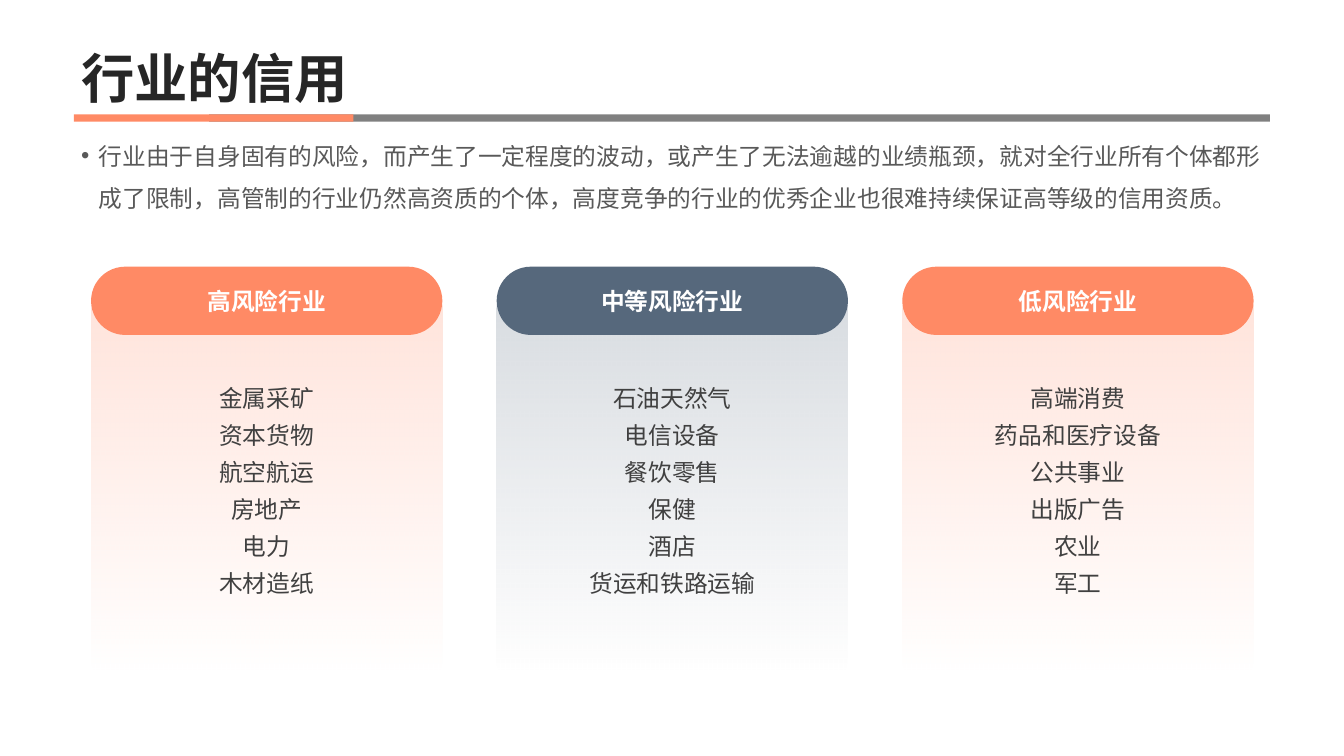
from lxml.etree import SubElement
from pptx import Presentation
from pptx.dml.color import RGBColor
from pptx.enum.shapes import MSO_SHAPE as Shape
from pptx.enum.text import MSO_ANCHOR as Anchor, MSO_AUTO_SIZE as AutoSize, PP_ALIGN as Align
from pptx.oxml.ns import qn
from pptx.util import Pt

TITLE = "行业的信用"
BODY = ("行业由于自身固有的风险，而产生了一定程度的波动，或产生了无法逾越的业绩瓶颈，"
        "就对全行业所有个体都形成了限制，高管制的行业仍然高资质的个体，"
        "高度竞争的行业的优秀企业也很难持续保证高等级的信用资质。")
CARDS = [
    ("高风险行业", "coral",
     ["金属采矿", "资本货物", "航空航运", "房地产", "电力", "木材造纸"]),
    ("中等风险行业", "slate",
     ["石油天然气", "电信设备", "餐饮零售", "保健", "酒店", "货运和铁路运输"]),
    ("低风险行业", "coral",
     ["高端消费", "药品和医疗设备", "公共事业", "出版广告", "农业", "军工"]),
]
COLORS = {"coral": "FF8A65", "slate": "56687C", "rule": "808080", "title": "262626",
          "body": "595959", "item": "404040", "white": "FFFFFF"}
FONT = "Arial"

PAGE_W, PAGE_H = 1360.8, 765.36
MARGIN, CONTENT_W = 74.9, 1211
TITLE_H, BODY_TOP, BODY_H = 114.5, 125.3, 616.3
RULE_TOP, RULE_H, ACCENT_W = 115.9, 7.2, 283
RULE_LEFT = 211.7
CARD_LEFT, CARD_W, CARD_PITCH = 92.2, 355.7, 410.7
HEADER_TOP, HEADER_H = 270, 69.1
PANEL_TOP, PANEL_H = 303.8, 377.3


def rgb(name):
    return RGBColor.from_string(COLORS[name])


def place(shape, left, top, width, height):
    shape.left, shape.top, shape.width, shape.height = map(Pt, (left, top, width, height))


def add_plain_shape(page, kind, left, top, width, height):
    shape = page.shapes.add_shape(kind, *map(Pt, (left, top, width, height)))
    shape.shadow.inherit = False
    shape.line.fill.background()
    return shape


def fill_solid(shape, color):
    shape.fill.solid()
    shape.fill.fore_color.rgb = rgb(color)


def fill_fading(shape, color):
    """Fade the colour from 23% opacity at the top to none at the bottom."""
    shape.fill.gradient()
    shape.fill.gradient_angle = 270
    for stop, position, opacity in zip(shape.fill.gradient_stops, (0, 1), (23, 0)):
        stop.position = position
        stop.color.rgb = rgb(color)
    for tint, opacity in zip(shape.element.spPr.iter(qn("a:srgbClr")), (23, 0)):
        SubElement(tint, qn("a:alpha"), val=str(opacity * 1000))


def write(shape, text, size, color, bold=False, align=Align.CENTER, spacing=1.0,
          anchor=Anchor.MIDDLE):
    frame = shape.text_frame
    frame.text = text
    frame.auto_size = AutoSize.NONE
    frame.vertical_anchor = anchor
    for para in frame.paragraphs:
        para.alignment = align
        para.line_spacing = spacing
        para.space_before = Pt(0)
        for span in para.runs:
            span.font.name = FONT
            span.font.size = Pt(size)
            span.font.bold = bold
            span.font.color.rgb = rgb(color)


def add_rules(page):
    for left, width, color in ((RULE_LEFT, MARGIN + CONTENT_W - RULE_LEFT, "rule"),
                               (MARGIN, ACCENT_W, "coral")):
        fill_solid(add_plain_shape(page, Shape.RECTANGLE, left, RULE_TOP, width, RULE_H), color)


def fill_placeholders(page):
    title, body = page.shapes.title, page.placeholders[1]
    place(title, MARGIN, 0, CONTENT_W, TITLE_H)
    write(title, TITLE, 54, "title", True, Align.LEFT, 0.9, Anchor.BOTTOM)
    place(body, MARGIN, BODY_TOP, CONTENT_W, BODY_H)
    write(body, BODY, 24, "body", False, Align.LEFT, 1.5, Anchor.TOP)
    props = body.text_frame.paragraphs[0]._p.get_or_add_pPr()
    props.set("marL", str(Pt(18)))
    props.set("indent", str(Pt(-18)))
    SubElement(props, qn("a:buFont"), typeface=FONT)
    SubElement(props, qn("a:buChar"), char="•")


def add_card(page, left, heading, color, items):
    panel = add_plain_shape(page, Shape.ROUNDED_RECTANGLE, left, PANEL_TOP, CARD_W, PANEL_H)
    panel.adjustments[0] = 0.024
    fill_fading(panel, color)
    write(panel, "\n".join(items), 24, "item", spacing=1.3)
    frame = panel.text_frame
    frame.margin_left = frame.margin_right = frame.margin_top = frame.margin_bottom = 0

    header = add_plain_shape(page, Shape.ROUNDED_RECTANGLE, left, HEADER_TOP, CARD_W, HEADER_H)
    header.adjustments[0] = 0.5
    fill_solid(header, color)
    write(header, heading, 24, "white", bold=True)
    header.text_frame.word_wrap = False


def main():
    deck = Presentation()
    deck.slide_width, deck.slide_height = Pt(PAGE_W), Pt(PAGE_H)
    page = deck.slides.add_slide(deck.slide_layouts[1])
    fill_placeholders(page)
    add_rules(page)
    for index, card in enumerate(CARDS):
        add_card(page, CARD_LEFT + index * CARD_PITCH, *card)
    deck.save("out.pptx")


if __name__ == "__main__":
    main()
